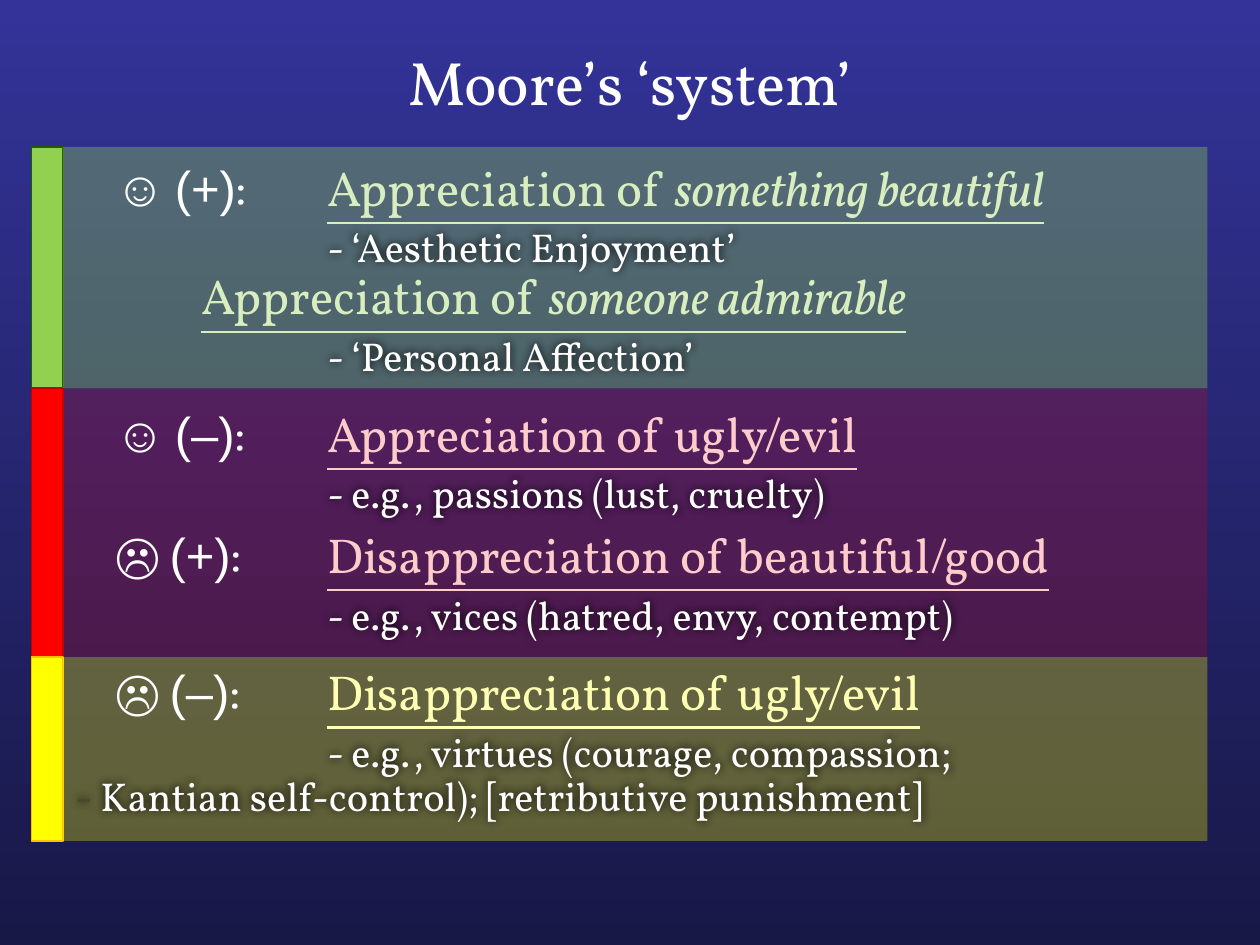
"""Build the slide on Moore's 'system' with three coloured bands of attitudes."""
from dataclasses import dataclass

import pptx
import pptx.dml.color
import pptx.enum.shapes
import pptx.enum.text
import pptx.oxml
import pptx.oxml.ns
import pptx.util

Pt = pptx.util.Pt
RGBColor = pptx.dml.color.RGBColor

WHITE = RGBColor(0xFF, 0xFF, 0xFF)
SKY_TOP = RGBColor(0x33, 0x33, 0x99)
SKY_BOTTOM = RGBColor(0x18, 0x18, 0x47)
GREEN = RGBColor(0x92, 0xD0, 0x50)
GREEN_EDGE = RGBColor(0x1F, 0x5C, 0x00)
RED = RGBColor(0xFF, 0x00, 0x00)
RED_EDGE = RGBColor(0xC0, 0x00, 0x00)
YELLOW = RGBColor(0xFF, 0xFF, 0x00)
YELLOW_EDGE = RGBColor(0xFF, 0xC0, 0x00)
PALE_GREEN = RGBColor(0xD8, 0xEE, 0xC0)
PALE_RED = RGBColor(0xFF, 0xCC, 0xCC)
PALE_YELLOW = RGBColor(0xFF, 0xFF, 0xB3)
DARK_OLIVE = RGBColor(0x48, 0x48, 0x2C)

SERIF = "Vollkorn"
SANS = "Arial"
HEADING_SIZE, DETAIL_SIZE = 28, 23
HEADING_LINE, DETAIL_LINE, DETAIL_GAP = 30.4, 24.9, 3
HEADINGS_TOP, DETAILS_TOP = 90, 126.5
LABEL_LEFT, TEXT_LEFT = 22.7, 144
BAND_LEFT, BAND_WIDTH, MARKER_WIDTH = 36, 654, 18


@dataclass(frozen=True)
class Band:
    top: float
    height: float
    colour: RGBColor
    edge: RGBColor
    opacity: int


@dataclass(frozen=True)
class Attitude:
    face: str
    sign: str
    heading: str
    emphasis: str
    detail: str
    colour: RGBColor
    gap: float
    left: float = TEXT_LEFT


BANDS = [
    Band(84, 138, GREEN, GREEN_EDGE, 36),
    Band(222, 153.5, RED, RED_EDGE, 20),
    Band(375.5, 105, YELLOW, YELLOW_EDGE, 30),
]
ATTITUDES = [
    Attitude("☺", "(+)", "Appreciation of ", "something beautiful",
             "- ‘Aesthetic Enjoyment’", PALE_GREEN, 0),
    Attitude("", "", "Appreciation of ", "someone admirable",
             "- ‘Personal Affection’", PALE_GREEN, 4, 72),
    Attitude("☺", "(–)", "Appreciation of ugly/evil", "",
             "- e.g., passions (lust, cruelty)", PALE_RED, 20.4),
    Attitude("☹", "(+)", "Disappreciation of beautiful/good", "",
             "- e.g., vices (hatred, envy, contempt)", PALE_RED, 11),
    Attitude("☹", "(–)", "Disappreciation of ugly/evil", "",
             "- e.g., virtues (courage, compassion;", PALE_YELLOW, 20.4),
]


def add_text_box(page, left: float, top: float, width: float, height: float):
    box = page.shapes.add_textbox(Pt(left), Pt(top), Pt(width), Pt(height))
    box.text_frame.word_wrap = True
    return box


def add_span(para, text: str, size: float, colour: RGBColor = WHITE, font: str = SERIF,
             underline: bool = False, italic: bool = False) -> None:
    span = para.add_run()
    span.text = text
    span.font.size = Pt(size)
    span.font.name = font
    span.font.color.rgb = colour
    if underline:
        span.font.underline = True
    if italic:
        span.font.italic = True


def next_paragraph(box, before: float, left: float, first_left: float):
    frame = box.text_frame
    para = frame.paragraphs[0] if not frame.text else frame.add_paragraph()
    para.line_spacing = 0.9
    para.space_before = Pt(before)
    properties = para._p.get_or_add_pPr()
    properties.set("marL", str(Pt(left)))
    properties.set("indent", str(Pt(first_left - left)))
    return para


def add_bar(page, left: float, width: float, band: Band):
    bar = page.shapes.add_shape(pptx.enum.shapes.MSO_SHAPE.RECTANGLE,
                                Pt(left), Pt(band.top), Pt(width), Pt(band.height))
    bar.shadow.inherit = False
    bar.fill.solid()
    bar.fill.fore_color.rgb = band.colour
    return bar


def add_band(page, band: Band) -> None:
    marker = add_bar(page, BAND_LEFT - MARKER_WIDTH, MARKER_WIDTH, band)
    marker.line.color.rgb = band.edge
    marker.line.width = Pt(1)
    panel = add_bar(page, BAND_LEFT, BAND_WIDTH, band)
    panel.line.fill.background()
    colour = panel._element.spPr.find(".//" + pptx.oxml.ns.qn("a:srgbClr"))
    alpha = pptx.oxml.parse_xml(
        f'<a:alpha {pptx.oxml.ns.nsdecls("a")} val="{band.opacity * 1000}"/>')
    colour.append(alpha)


def add_soft_shadow(box) -> None:
    box._element.spPr.append(pptx.oxml.parse_xml(
        f'<a:effectLst {pptx.oxml.ns.nsdecls("a")}>'
        f'<a:outerShdw blurRad="{Pt(5)}" dist="0" dir="0" algn="ctr" rotWithShape="0">'
        '<a:srgbClr val="000000"/>'
        '</a:outerShdw></a:effectLst>'))


def add_heading(box, attitude: Attitude, before: float) -> None:
    first_left = LABEL_LEFT if attitude.face else attitude.left
    para = next_paragraph(box, before, attitude.left, first_left)
    if attitude.face:
        add_span(para, attitude.face, HEADING_SIZE, font=SANS)
        add_span(para, " ", HEADING_SIZE)
        add_span(para, attitude.sign, HEADING_SIZE, font=SANS)
        add_span(para, ":\t", HEADING_SIZE)
    add_span(para, attitude.heading, HEADING_SIZE, attitude.colour, underline=True)
    if attitude.emphasis:
        add_span(para, attitude.emphasis, HEADING_SIZE, attitude.colour,
                 underline=True, italic=True)


def build() -> None:
    deck = pptx.Presentation()
    deck.slide_width, deck.slide_height = Pt(720), Pt(540)
    page = deck.slides.add_slide(deck.slide_layouts[6])
    sky = page.background.fill
    sky.gradient()
    sky.gradient_angle = 270
    for stop, position, colour in zip(sky.gradient_stops, (0, 1), (SKY_TOP, SKY_BOTTOM)):
        stop.position = position
        stop.color.rgb = colour

    title = add_text_box(page, 36, 12, 648, 68.5)
    title.text_frame.vertical_anchor = pptx.enum.text.MSO_ANCHOR.MIDDLE
    title_para = title.text_frame.paragraphs[0]
    title_para.alignment = pptx.enum.text.PP_ALIGN.CENTER
    add_span(title_para, "Moore’s ‘system’", 35)

    for band in BANDS:
        add_band(page, band)

    headings = add_text_box(page, BAND_LEFT, HEADINGS_TOP, BAND_WIDTH, 380)
    details = add_text_box(page, BAND_LEFT, DETAILS_TOP, BAND_WIDTH, 345)
    add_soft_shadow(details)
    for index, attitude in enumerate(ATTITUDES):
        before_heading = attitude.gap + DETAIL_GAP + DETAIL_LINE if index else 0
        before_detail = attitude.gap + HEADING_LINE + DETAIL_GAP if index else 0
        add_heading(headings, attitude, before_heading)
        para = next_paragraph(details, before_detail, TEXT_LEFT, TEXT_LEFT)
        add_span(para, attitude.detail, DETAIL_SIZE)
    closing = next_paragraph(details, 0, 0, 0)
    add_span(closing, "-", DETAIL_SIZE, DARK_OLIVE)
    add_span(closing, " Kantian self-control); [retributive punishment]", DETAIL_SIZE)

    deck.save("out.pptx")


build()
